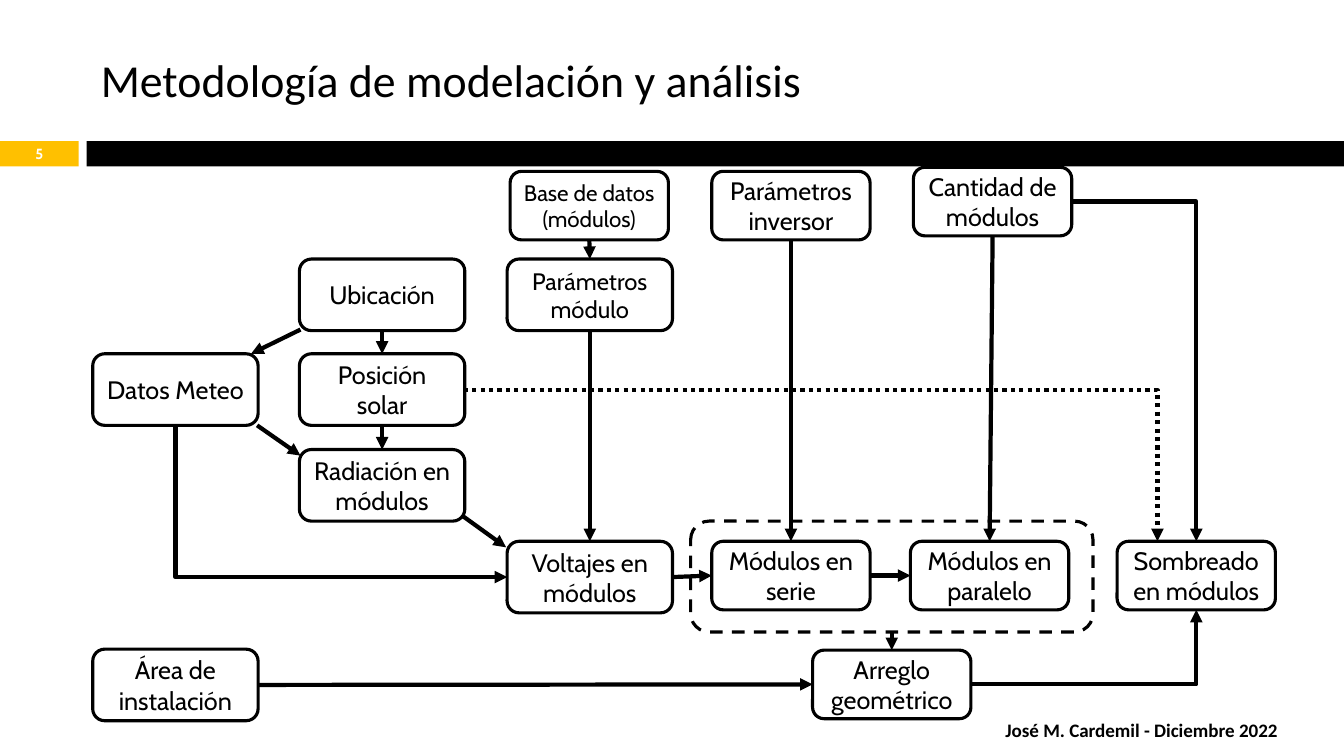
from lxml import etree
from pptx import Presentation
from pptx.dml.color import RGBColor
from pptx.enum.dml import MSO_LINE as DASH
from pptx.enum.shapes import MSO_CONNECTOR as CXN, MSO_SHAPE as SHAPE
from pptx.enum.text import MSO_ANCHOR as ANCHOR, PP_ALIGN as ALIGN
from pptx.oxml.ns import qn
from pptx.util import Pt

PX = 9144  # 100 px to the inch
BLACK = RGBColor(0x00, 0x00, 0x00)
WHITE = RGBColor(0xFF, 0xFF, 0xFF)
AMBER = RGBColor(0xFF, 0xC0, 0x00)
TOP, LEFT, BOTTOM, RIGHT = range(4)  # connection sites of a box


def write(sp, text, size=18, font="Cabin", color=BLACK, bold=False,
          align=ALIGN.CENTER, inset=(10, 5)):
    tf = sp.text_frame
    tf.word_wrap = True
    tf.vertical_anchor = ANCHOR.MIDDLE
    tf.margin_left = tf.margin_right = inset[0] * PX
    tf.margin_top = tf.margin_bottom = inset[1] * PX
    p = tf.paragraphs[0]
    p.alignment = align
    r = p.add_run()
    r.text = text
    r.font.size, r.font.name, r.font.bold = Pt(size), font, bold
    r.font.color.rgb = color


def add_arrow(points=(0, 0, 0, 0), elbow=False, dash=None, tip="a:tailEnd"):
    kind = CXN.ELBOW if elbow else CXN.STRAIGHT
    cxn = shapes.add_connector(kind, *[v * PX for v in points])
    cxn.line.color.rgb = BLACK
    cxn.line.width = Pt(3)
    if dash:
        cxn.line.dash_style = dash
    sp_pr = cxn._element.spPr
    if elbow:  # a single corner: across, then up or down
        sp_pr.find(qn("a:prstGeom")).set("prst", "bentConnector2")
    etree.SubElement(sp_pr.find(qn("a:ln")), qn(tip), type="triangle")
    etree.SubElement(sp_pr, qn("a:effectLst"))
    return cxn


prs = Presentation()
prs.slide_width, prs.slide_height = 1333 * PX, 750 * PX
shapes = prs.slides.add_slide(prs.slide_layouts[6]).shapes

# Header bars
for x, w, color in [(0, 78, AMBER), (86, 1247, BLACK)]:
    sp = shapes.add_shape(SHAPE.RECTANGLE, x * PX, 140 * PX, w * PX, 25 * PX)
    sp.shadow.inherit = False
    sp.fill.solid()
    sp.fill.fore_color.rgb = color
    sp.line.fill.background()

# Title, footer and slide number
for box, text, style in [
    ((89, 25, 1187, 108), "Metodología de modelación y análisis",
     dict(size=32.7, font="Calibri", align=ALIGN.LEFT)),
    ((488, 704, 790, 40), "José M. Cardemil - Diciembre 2022",
     dict(size=13.6, font="Calibri", bold=True, align=ALIGN.RIGHT)),
    ((0, 139, 78, 27), "5", dict(size=10.5, color=WHITE, bold=True)),
]:
    sp = shapes.add_textbox(*[v * PX for v in box])
    write(sp, text, inset=(11, 6), **style)

# Dashed frame around the module array
frame = shapes.add_shape(SHAPE.ROUNDED_RECTANGLE, 685 * PX, 517 * PX, 399 * PX, 110 * PX)
frame.shadow.inherit = False
frame.fill.background()
frame.line.color.rgb = BLACK
frame.line.width = Pt(2.25)
frame.line.dash_style = DASH.DASH

# Process boxes: key, left, top, text, text size
LARGE, SMALL = (164, 71), (157, 68)
boxes = {"frame": frame}
for (w, h), items in [
    (LARGE, [
        ("meteo", 92, 351, "Datos Meteo", 18),
        ("place", 297, 257, "Ubicación", 18),
        ("sun", 297, 351, "Posición solar", 18),
        ("radiation", 297, 446, "Radiación en módulos", 18),
        ("voltage", 503, 537, "Voltajes en módulos", 18),
        ("module", 503, 257, "Parámetros módulo", 17),
        ("area", 92, 644, "Área de instalación", 18),
    ]),
    (SMALL, [
        ("database", 506, 170, "Base de datos (módulos)", 16),
        ("inverter", 706, 170, "Parámetros inversor", 18),
        ("quantity", 906, 166, "Cantidad de módulos", 18),
        ("series", 706, 537, "Módulos en serie", 18),
        ("parallel", 903, 537, "Módulos en paralelo", 18),
        ("shading", 1108, 537, "Sombreado en módulos", 18),
        ("array", 806, 645, "Arreglo geométrico", 18),
    ]),
]:
    for key, x, y, text, size in items:
        sp = shapes.add_shape(SHAPE.ROUNDED_RECTANGLE, x * PX, y * PX, w * PX, h * PX)
        sp.shadow.inherit = False
        sp.fill.solid()
        sp.fill.fore_color.rgb = WHITE
        sp.line.color.rgb = BLACK
        sp.line.width = Pt(2.25)
        write(sp, text, size)
        boxes[key] = sp

# Arrows glued to the boxes
for start, start_site, end, end_site, style in [
    ("place", BOTTOM, "sun", TOP, {}),
    ("sun", BOTTOM, "radiation", TOP, {}),
    ("database", BOTTOM, "module", TOP, {}),
    ("module", BOTTOM, "voltage", TOP, {}),
    ("inverter", BOTTOM, "series", TOP, {}),
    ("quantity", BOTTOM, "parallel", TOP, {}),
    ("frame", BOTTOM, "array", TOP, {}),
    ("voltage", RIGHT, "series", LEFT, {}),
    ("series", RIGHT, "parallel", LEFT, {}),
    ("area", RIGHT, "array", LEFT, {}),
    ("array", RIGHT, "shading", BOTTOM, dict(elbow=True)),
    ("quantity", RIGHT, "shading", TOP, dict(elbow=True)),
    ("voltage", LEFT, "meteo", BOTTOM, dict(elbow=True, tip="a:headEnd")),
]:
    cxn = add_arrow(**style)
    cxn.begin_connect(boxes[start], start_site)
    cxn.end_connect(boxes[end], end_site)

# Diagonal arrows between box corners
for points in [(298, 327, 249, 351), (255, 422, 298, 452), (459, 512, 502, 543)]:
    add_arrow(points)

# Dotted arrow from the sun position to the shading
add_arrow((460, 387, 1148, 537), elbow=True, dash=DASH.ROUND_DOT)

prs.save("out.pptx")
